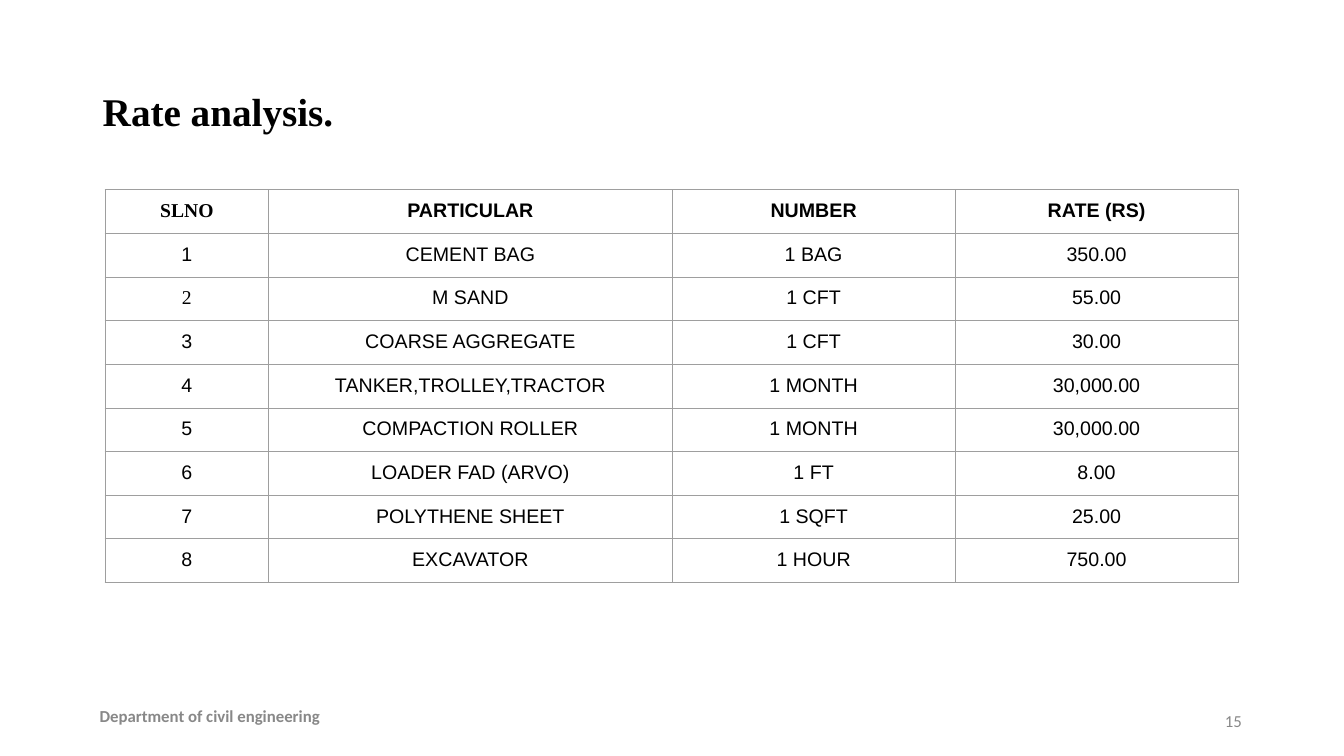
from lxml.etree import SubElement
from pptx import Presentation
from pptx.dml.color import RGBColor as RGB
from pptx.enum.text import MSO_ANCHOR as ANCHOR, PP_ALIGN as ALIGN
from pptx.oxml.ns import qn
from pptx.util import Cm, Pt

COLORS = {"text": "000000", "muted": "888888", "border": "9E9E9E", "paper": "FFFFFF"}
SERIF, SANS, FOOT = "Times New Roman", "Arial", "Calibri"
INSET = Cm(0.25)

RATES = [
    ("SLNO", "PARTICULAR", "NUMBER", "RATE (RS)"),
    ("1", "CEMENT BAG", "1 BAG", "350.00"),
    ("2", "M SAND", "1 CFT", "55.00"),
    ("3", "COARSE AGGREGATE", "1 CFT", "30.00"),
    ("4", "TANKER,TROLLEY,TRACTOR", "1 MONTH", "30,000.00"),
    ("5", "COMPACTION ROLLER", "1 MONTH", "30,000.00"),
    ("6", "LOADER FAD (ARVO)", "1 FT", "8.00"),
    ("7", "POLYTHENE SHEET", "1 SQFT", "25.00"),
    ("8", "EXCAVATOR", "1 HOUR", "750.00"),
]
COLUMN_WIDTHS = (4.12, 10.17, 7.13, 7.13)
ROW_HEIGHT = 1.1
SERIF_CELLS = {"SLNO", "2"}


def write(tf, text, color, align=ALIGN.LEFT, **font):
    p = tf.paragraphs[0]
    p.alignment = align
    r = p.add_run()
    r.text = text
    for name, value in font.items():
        setattr(r.font, name, value)
    r.font.color.rgb = RGB.from_string(COLORS[color])
    return p


def add_text(slide, box, text, color, anchor, pad=0.13, **fmt):
    tf = slide.shapes.add_textbox(*map(Cm, box)).text_frame
    frame = {
        "word_wrap": True, "vertical_anchor": anchor,
        "margin_left": INSET, "margin_right": INSET,
        "margin_top": Cm(pad), "margin_bottom": Cm(pad),
    }
    for name, value in frame.items():
        setattr(tf, name, value)
    return write(tf, text, color, **fmt)


def add_title(slide, box):
    p = add_text(slide, box, "Rate analysis.", "text", ANCHOR.MIDDLE,
                 name=SERIF, size=Pt(28), bold=True)
    p.line_spacing = 0.9


def set_borders(cell):
    tc_pr = cell._tc.get_or_add_tcPr()
    for side in "LRTB":
        ln = SubElement(tc_pr, qn(f"a:ln{side}"), w=str(Pt(0.75)))
        fill = SubElement(ln, qn("a:solidFill"))
        SubElement(fill, qn("a:srgbClr"), val=COLORS["border"])


def add_rates(slide, left, top):
    size = (sum(COLUMN_WIDTHS), ROW_HEIGHT * len(RATES))
    table = slide.shapes.add_table(len(RATES), len(COLUMN_WIDTHS),
                                   *map(Cm, (left, top, *size))).table
    table.first_row = table.horz_banding = False
    for column, width in zip(table.columns, COLUMN_WIDTHS):
        column.width = Cm(width)
    for i, values in enumerate(RATES):
        table.rows[i].height = Cm(ROW_HEIGHT)
        for j, value in enumerate(values):
            cell = table.cell(i, j)
            for side in ("left", "right", "top", "bottom"):
                setattr(cell, f"margin_{side}", INSET)
            set_borders(cell)
            cell.fill.solid()
            cell.fill.fore_color.rgb = RGB.from_string(COLORS["paper"])
            write(cell.text_frame, value, "text", ALIGN.CENTER, size=Pt(14),
                  name=SERIF if value in SERIF_CELLS else SANS, bold=i == 0)


def add_footer(slide, left, top, width):
    fmt = {"name": FOOT, "size": Pt(12)}
    number_width = 7.62
    add_text(slide, (left + width - number_width, top + 0.12, number_width, 1.02),
             "15", "muted", ANCHOR.MIDDLE, align=ALIGN.RIGHT, **fmt)
    add_text(slide, (left, top, width - number_width, 1.02),
             "Department of civil engineering", "muted", ANCHOR.TOP,
             pad=0.25, bold=True, **fmt)


def main():
    prs = Presentation()
    prs.slide_width, prs.slide_height = Cm(33.87), Cm(19.05)
    slide = prs.slides.add_slide(prs.slide_layouts[6])
    add_title(slide, (2.34, 1.02, 29.21, 3.68))
    add_rates(slide, 2.65, 4.78)
    add_footer(slide, 2.26, 17.53, 29.29)
    prs.save("out.pptx")


if __name__ == "__main__":
    main()
